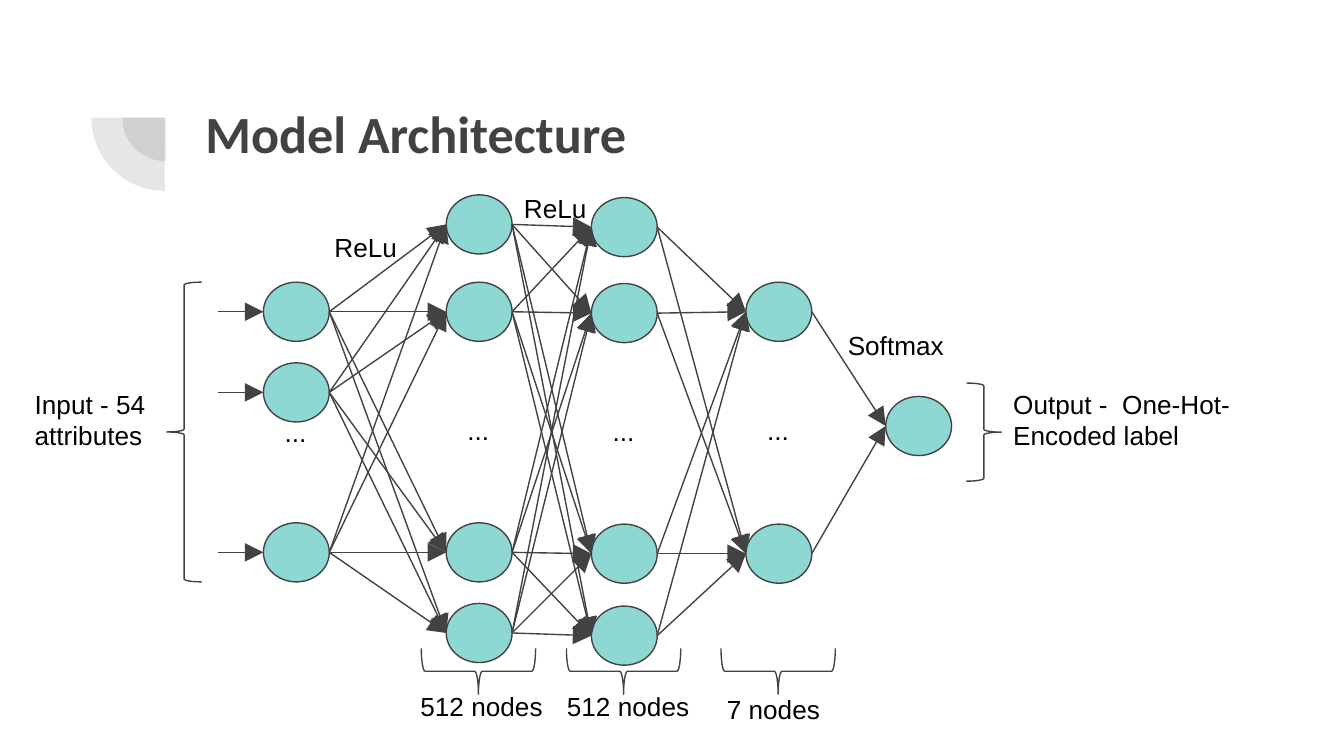
from dataclasses import dataclass
from itertools import pairwise, product

from lxml.etree import SubElement
from pptx import Presentation
from pptx.dml.color import RGBColor
from pptx.enum.shapes import MSO_CONNECTOR, MSO_SHAPE
from pptx.oxml.ns import qn
from pptx.shapes.autoshape import Shape
from pptx.slide import Slide
from pptx.util import Emu, Pt

EMU_PER_PX = 9144  # 100 px to the inch
SLIDE_WIDTH = 1000
INK = RGBColor(0x42, 0x42, 0x42)
TEAL = RGBColor(0x8D, 0xD8, 0xD3)
BLACK = RGBColor(0, 0, 0)
LINE_WIDTH = Pt(0.75)
NODE_WIDTH, NODE_HEIGHT = 49, 44
ARROW_LENGTH = 34


def px(length: int) -> Emu:
    return Emu(length * EMU_PER_PX)


@dataclass(frozen=True)
class Box:
    left: int
    top: int
    width: int
    height: int

    def emu(self) -> tuple[Emu, Emu, Emu, Emu]:
        return px(self.left), px(self.top), px(self.width), px(self.height)


@dataclass(frozen=True)
class Layer:
    left: int
    tops: tuple[int, ...]
    dots_top: int | None = None

    def ports(self, side: int) -> list[tuple[int, int]]:
        """Middle points of the node edges that lie at x = side."""
        return [(side, top + NODE_HEIGHT // 2) for top in self.tops]

    def inlets(self) -> list[tuple[int, int]]:
        return self.ports(self.left)

    def outlets(self) -> list[tuple[int, int]]:
        return self.ports(self.left + NODE_WIDTH)


@dataclass(frozen=True)
class Brace:
    box: Box
    rotation: int = 0


@dataclass(frozen=True)
class Label:
    text: str
    box: Box


LAYERS = (
    Layer(196, (210, 270, 389), 300),
    Layer(332, (145, 210, 389, 449), 298),
    Layer(440, (147, 211, 390, 451), 299),
    Layer(555, (210, 390), 298),
    Layer(659, (295,)),
)
BRACES = (
    Brace(Box(124, 210, 26, 223)),
    Brace(Box(719, 285, 26, 73), 180),
    *(Brace(Box(layer.left + 7, 457, 34, 85), 270) for layer in LAYERS[1:4]),
)
LABELS = (
    Label("Input - 54 attributes", Box(16, 279, 104, 95)),
    Label("Output -  One-Hot-Encoded label", Box(744, 279, 205, 95)),
    Label("512 nodes", Box(303, 504, 116, 95)),
    Label("512 nodes", Box(412, 504, 116, 95)),
    Label("7 nodes", Box(531, 506, 104, 95)),
    Label("ReLu", Box(239, 162, 100, 48)),
    Label("ReLu", Box(380, 133, 100, 48)),
    Label("Softmax", Box(621, 235, 100, 48)),
)
CORNER_PIES = (Box(91, 55, 65, 65), Box(68, 33, 109, 109))


def add_text(slide: Slide, text: str, box: Box, *, size: int = 14,
             font: str = "Arial", color: RGBColor = BLACK, bold: bool = False) -> None:
    frame = slide.shapes.add_textbox(*box.emu()).text_frame
    frame.word_wrap = True
    frame.margin_left = frame.margin_right = px(10)
    frame.margin_top = frame.margin_bottom = px(10)
    run = frame.paragraphs[0].add_run()
    run.text = text
    run.font.size, run.font.name, run.font.bold = Pt(size), font, bold
    run.font.color.rgb = color


def add_plain_shape(slide: Slide, kind: MSO_SHAPE, box: Box,
                    fill: RGBColor | None, outlined: bool = True) -> Shape:
    shape = slide.shapes.add_shape(kind, *box.emu())
    shape.shadow.inherit = False
    if fill is None:
        shape.fill.background()
    else:
        shape.fill.solid()
        shape.fill.fore_color.rgb = fill
    if outlined:
        shape.line.color.rgb = INK
        shape.line.width = LINE_WIDTH
    else:
        shape.line.fill.background()
    return shape


def add_corner_pie(slide: Slide, box: Box) -> None:
    """Translucent quarter disc; overlapping ones darken."""
    pie = add_plain_shape(slide, MSO_SHAPE.PIE, box, INK, outlined=False)
    pie.rotation = 270
    pie.adjustments[0], pie.adjustments[1] = 107.93, 162
    color = pie.element.spPr.find(qn("a:solidFill")).find(qn("a:srgbClr"))
    SubElement(color, qn("a:alpha"), val="13000")


def add_arrow(slide: Slide, start: tuple[int, int], end: tuple[int, int]) -> None:
    points = [px(value) for value in (*start, *end)]
    arrow = slide.shapes.add_connector(MSO_CONNECTOR.STRAIGHT, *points)
    arrow.line.color.rgb = INK
    arrow.line.width = LINE_WIDTH
    properties = arrow.element.spPr
    SubElement(properties.find(qn("a:ln")), qn("a:tailEnd"),
               type="triangle", w="lg", len="lg")
    SubElement(properties, qn("a:effectLst"))


def add_layer(slide: Slide, layer: Layer) -> None:
    for top in layer.tops:
        box = Box(layer.left, top, NODE_WIDTH, NODE_HEIGHT)
        add_plain_shape(slide, MSO_SHAPE.OVAL, box, TEAL)
    if layer.dots_top is not None:
        add_text(slide, "...", Box(layer.left + 6, layer.dots_top, 54, 21))


def add_brace(slide: Slide, brace: Brace) -> None:
    shape = add_plain_shape(slide, MSO_SHAPE.LEFT_BRACE, brace.box, None)
    shape.rotation = brace.rotation


def main() -> None:
    presentation = Presentation()
    presentation.slide_width = px(SLIDE_WIDTH)
    presentation.slide_height = px(SLIDE_WIDTH) * 9 // 16
    slide = presentation.slides.add_slide(presentation.slide_layouts[6])

    for box in CORNER_PIES:
        add_corner_pie(slide, box)
    add_text(slide, "Model Architecture", Box(143, 65, 769, 109),
             size=28, font="Calibri", color=INK, bold=True)

    add_layer(slide, LAYERS[0])
    for x, y in LAYERS[0].inlets():
        add_arrow(slide, (x - ARROW_LENGTH, y), (x, y))
    for previous, layer in pairwise(LAYERS):
        add_layer(slide, layer)
        for start, end in product(previous.outlets(), layer.inlets()):
            add_arrow(slide, start, end)

    for brace in BRACES:
        add_brace(slide, brace)
    for label in LABELS:
        add_text(slide, label.text, label.box)

    presentation.save("out.pptx")


if __name__ == "__main__":
    main()
